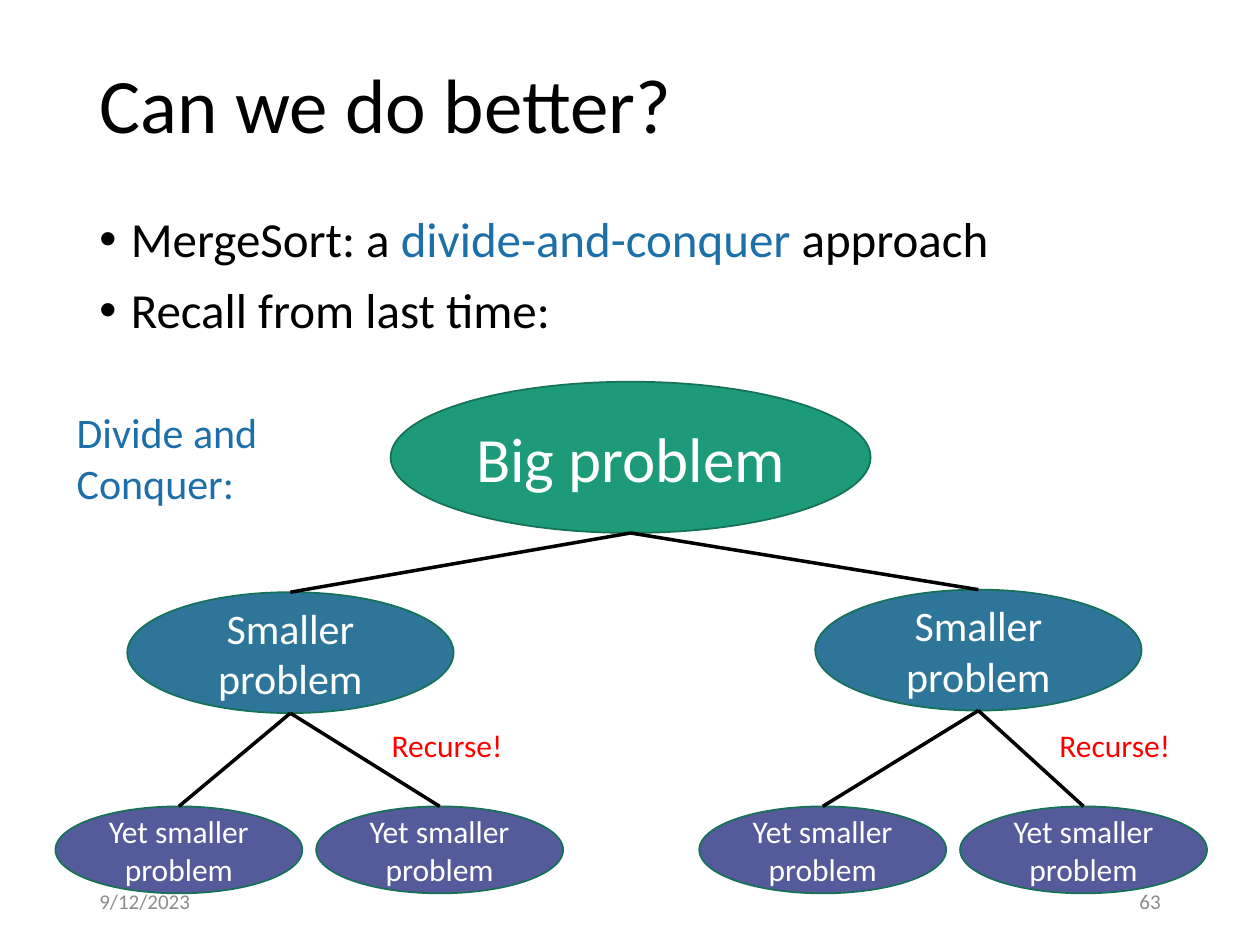
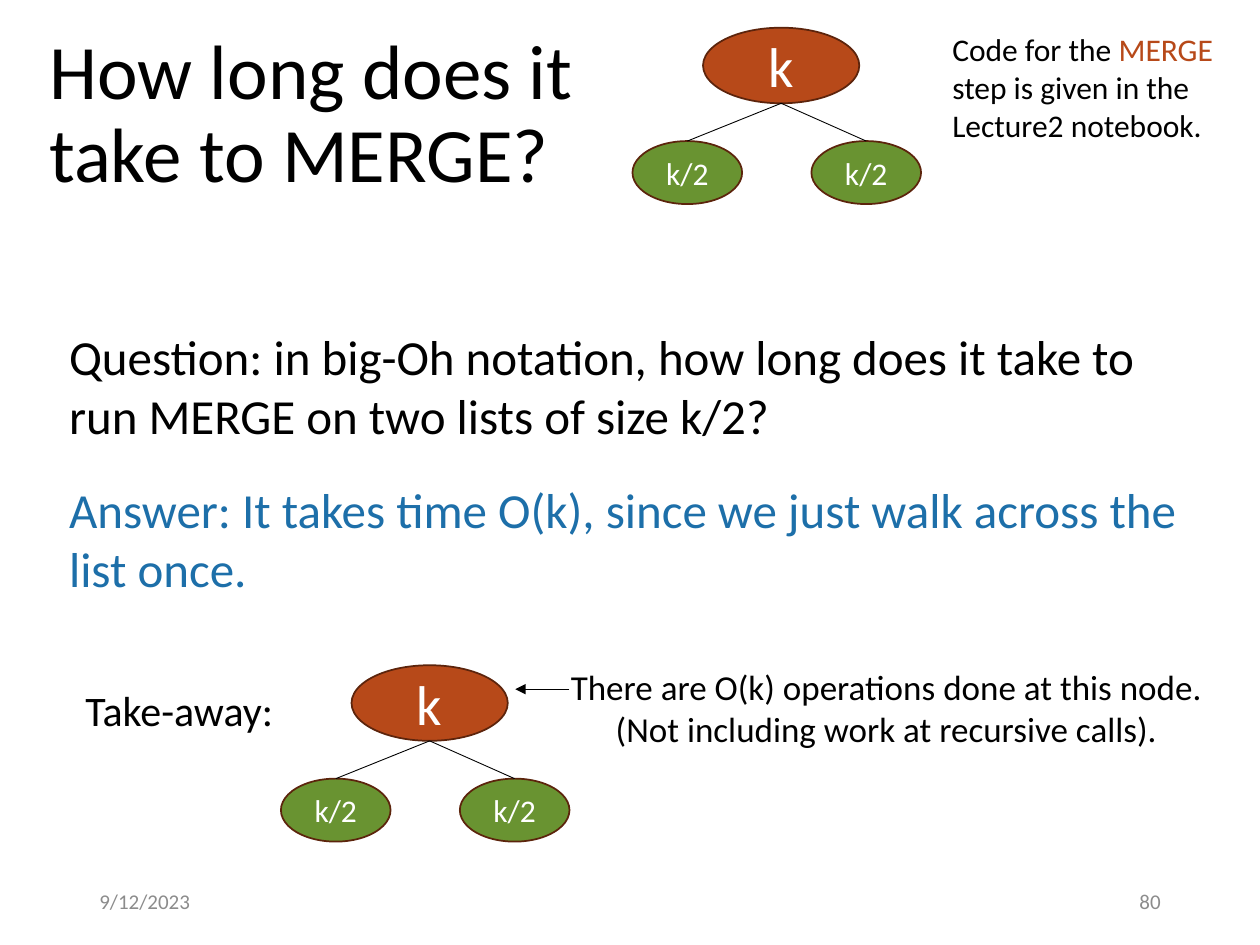
from lxml import etree
from pptx import Presentation
from pptx.dml.color import RGBColor
from pptx.enum.shapes import MSO_CONNECTOR, MSO_SHAPE
from pptx.enum.text import MSO_ANCHOR, MSO_AUTO_SIZE, PP_ALIGN
from pptx.oxml.ns import qn
from pptx.util import Inches, Pt

LINE = MSO_CONNECTOR.STRAIGHT
OVAL = MSO_SHAPE.OVAL
LEFT, MID, RIGHT = PP_ALIGN.LEFT, PP_ALIGN.CENTER, PP_ALIGN.RIGHT
TOP, CENTRE = MSO_ANCHOR.TOP, MSO_ANCHOR.MIDDLE
FIXED = MSO_AUTO_SIZE.NONE

FONT = "Calibri"
TITLE_ONLY = 5
BLACK, WHITE, GREY, RED = "000000", "FFFFFF", "8C8C8C", "FF0000"
BLUE, TEAL, PINE, STEEL, PLUM = "1D6FA9", "1D9A78", "157259", "2E759A", "555B9A"
RUST, BROWN, GREEN = "B74919", "5C240C", "699331"


def color(code):
    return RGBColor.from_string(code)


def inches(box):
    return [Inches(n) for n in box]


def add_runs(para, runs, size):
    """Add (text, colour) pairs to a paragraph."""
    for text, code in runs:
        run = para.add_run()
        run.text = text
        run.font.name = FONT
        run.font.size = Pt(size)
        run.font.color.rgb = color(code)


def add_title(slide, text, box):
    title = slide.shapes.title
    title.left, title.top, title.width, title.height = inches(box)
    frame = title.text_frame
    frame.auto_size = FIXED
    frame.vertical_anchor = CENTRE
    para = frame.paragraphs[0]
    para.alignment = LEFT
    para.line_spacing = 0.9
    add_runs(para, [(text, BLACK)], 44)


def add_text(slide, box, runs, size, align=LEFT, anchor=TOP, wrap=True):
    frame = slide.shapes.add_textbox(*inches(box)).text_frame
    frame.word_wrap = wrap
    frame.vertical_anchor = anchor
    para = frame.paragraphs[0]
    para.alignment = align
    add_runs(para, runs, size)
    return frame


def add_bullets(slide, box, items, size):
    frame = slide.shapes.add_textbox(*inches(box)).text_frame
    frame.word_wrap = True
    for i, runs in enumerate(items):
        para = frame.add_paragraph() if i else frame.paragraphs[0]
        props = para._p.get_or_add_pPr()
        props.set("marL", str(Inches(0.25)))
        props.set("indent", str(-Inches(0.25)))
        font = etree.SubElement(props, qn("a:buFont"))
        font.set("typeface", "Arial")
        etree.SubElement(props, qn("a:buChar")).set("char", "•")
        para.line_spacing = 0.9
        para.space_before = Pt(10 if i else 0)
        add_runs(para, runs, size)


def add_node(slide, box, text, size, fill, edge):
    node = slide.shapes.add_shape(OVAL, *inches(box))
    node.shadow.inherit = False
    node.fill.solid()
    node.fill.fore_color.rgb = color(fill)
    node.line.color.rgb = color(edge)
    node.line.width = Pt(1)
    frame = node.text_frame
    frame.word_wrap = True
    frame.vertical_anchor = CENTRE
    para = frame.paragraphs[0]
    para.alignment = MID
    add_runs(para, [(text, WHITE)], size)
    return node


def add_line(slide, start, end, weight, arrow=False):
    line = slide.shapes.add_connector(LINE, *start, *end)
    line.line.color.rgb = color(BLACK)
    line.line.width = Pt(weight)
    if arrow:
        tail = etree.SubElement(line.line._get_or_add_ln(), qn("a:tailEnd"))
        tail.set("type", "triangle")
    etree.SubElement(line._element.spPr, qn("a:effectLst"))
    return line


def add_fork(slide, top, kids, weight):
    """Join the bottom of one node to the top of each child."""
    start = top.left + top.width // 2, top.top + top.height
    for kid in kids:
        end = kid.left + kid.width // 2, kid.top
        add_line(slide, start, end, weight).end_connect(kid, 0)


def add_split(slide, left, top):
    """Draw a node of size k with its two halves."""
    root = add_node(slide, (left + 0.56, top, 1.24, 0.6), "k", 32, RUST, BROWN)
    halves = [add_node(slide, (left + 1.42 * i, top + 0.9, 0.87, 0.5),
                       "k/2", 18, GREEN, BROWN) for i in range(2)]
    add_fork(slide, root, halves, 0.5)


def add_footer(slide, number):
    for left, text, align in ((0.69, "9/12/2023", LEFT), (7.06, number, RIGHT)):
        add_text(slide, (left, 6.95, 2.25, 0.4), [(text, GREY)], 12, align, CENTRE)


def build_divide(slide):
    add_title(slide, "Can we do better?", (0.69, 0.4, 8.62, 0.92))
    add_bullets(slide, (0.69, 1.66, 8.62, 1.25), [
        [("MergeSort: a ", BLACK), ("divide-and-conquer", BLUE), (" approach", BLACK)],
        [("Recall from last time:", BLACK)],
    ], 28)
    big = add_node(slide, (3.1, 3.03, 3.81, 1.2), "Big problem", 36, TEAL, PINE)
    mids = []
    # left and top of the middle node, left of its first child, left of its label
    for left, top, first, label in ((1.01, 4.7, 0.44, 3.01), (6.47, 4.68, 5.55, 8.31)):
        mid = add_node(slide, (left, top, 2.59, 0.96), "Smaller problem", 24, STEEL, PINE)
        kids = [add_node(slide, (first + 2.07 * i, 6.4, 1.96, 0.69),
                         "Yet smaller problem", 18, PLUM, PINE) for i in range(2)]
        add_fork(slide, mid, kids, 2)
        add_text(slide, (label, 5.71, 1.09, 0.4), [("Recurse!", RED)], 18, wrap=False)
        mids.append(mid)
    add_fork(slide, big, mids, 2)
    add_text(slide, (0.51, 3.18, 1.82, 0.91), [("Divide and Conquer:", BLUE)], 24)
    add_footer(slide, "63")


def build_merge(slide):
    add_title(slide, "How long does it take to MERGE?", (0.29, 0, 5.37, 1.84))
    add_text(slide, (7.46, 0.19, 2.3, 1.01), [
        ("Code for the ", BLACK), ("MERGE", RUST),
        (" step is given in the Lecture2 notebook.", BLACK)], 18)
    add_split(slide, 5.02, 0.22)
    add_text(slide, (0.45, 2.54, 9.25, 1.04), [
        ("Question: in big-Oh notation, how long does it take to run MERGE "
         "on two lists of size k/2?", BLACK)], 28)
    add_text(slide, (0.45, 3.76, 9.1, 1.04), [
        ("Answer: It takes time O(k), since we just walk across the list once.",
         BLUE)], 28)
    add_split(slide, 2.23, 5.28)
    add_text(slide, (4.35, 5.23, 5.37, 0.77), [
        ("There are O(k) operations done at this node. "
         "(Not including work at recursive calls).", BLACK)], 20, MID)
    add_text(slide, (0.58, 5.38, 3.34, 0.5), [("Take-away:", BLACK)], 24)
    add_line(slide, inches((4.52, 5.47)), inches((4.09, 5.47)), 0.5, arrow=True)
    add_footer(slide, "80")


def main():
    deck = Presentation()
    deck.slide_width, deck.slide_height = Inches(10), Inches(7.5)
    for build in (build_divide, build_merge):
        build(deck.slides.add_slide(deck.slide_layouts[TITLE_ONLY]))
    deck.save("out.pptx")


if __name__ == "__main__":
    main()
